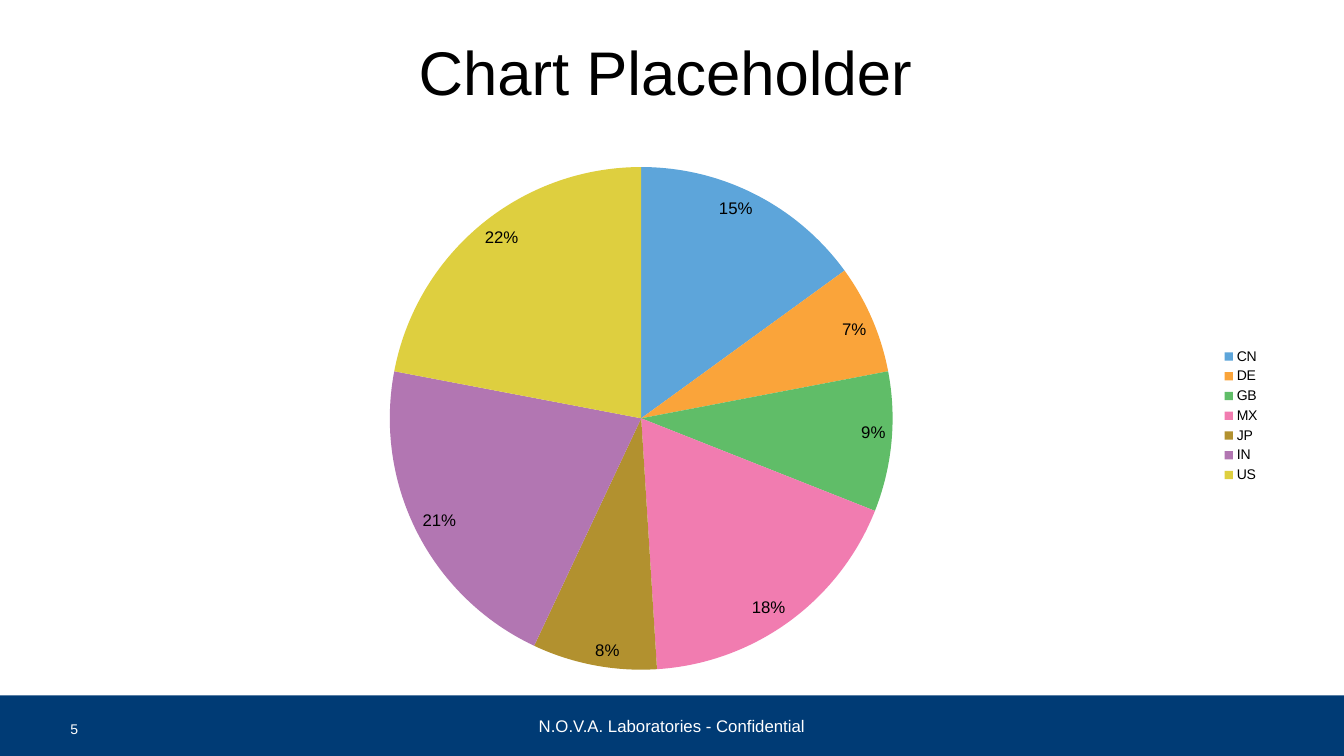
from lxml import etree
from pptx import Presentation
from pptx import util as u
from pptx.chart.data import CategoryChartData
from pptx.dml.color import RGBColor
from pptx.enum import chart as charts, shapes, text
from pptx.oxml.ns import qn

NAVY = RGBColor(0x00, 0x3B, 0x75)
WHITE = RGBColor(0xFF, 0xFF, 0xFF)
BLACK = RGBColor(0x00, 0x00, 0x00)
SHARES = {
    "CN": (15, RGBColor(0x5D, 0xA5, 0xDA)),
    "DE": (7, RGBColor(0xFA, 0xA4, 0x3A)),
    "GB": (9, RGBColor(0x60, 0xBD, 0x68)),
    "MX": (18, RGBColor(0xF1, 0x7C, 0xB0)),
    "JP": (8, RGBColor(0xB2, 0x91, 0x2F)),
    "IN": (21, RGBColor(0xB2, 0x76, 0xB2)),
    "US": (22, RGBColor(0xDE, 0xCF, 0x3F)),
}
PIE_AREA = {"x": 0.27, "y": 0.03, "w": 0.42, "h": 0.95}


class Report:
    """Style and current page, laid out on columns of 0.6 and rows of 0.1 inches."""

    font = "Arial"
    column = u.Inches(0.6)
    row = u.Inches(0.1)
    width = u.Inches(13.33)
    height = u.Inches(7.5)

    def __init__(self):
        self.deck = Presentation()
        self.deck.slide_width, self.deck.slide_height = self.width, self.height
        self.page = self.deck.slides.add_slide(self.deck.slide_layouts[5])

    def area(self, left, top, columns, rows):
        return (int(left * self.column), int(top * self.row),
                int(columns * self.column), int(rows * self.row))

    def style(self, font, size, color):
        font.name, font.size = self.font, u.Pt(size)
        font.color.rgb = color

    def fill_text(self, box, words, size, color, align, anchor):
        frame = box.text_frame
        frame.word_wrap = True
        frame.auto_size = text.MSO_AUTO_SIZE.NONE
        frame.vertical_anchor = anchor
        para = frame.paragraphs[0]
        para.alignment = align
        span = para.add_run()
        span.text = words
        self.style(span.font, size, color)

    def title(self, words, area):
        box = self.page.shapes.title
        box.left, box.top, box.width, box.height = area
        self.fill_text(box, words, 44, BLACK, text.PP_ALIGN.CENTER, text.MSO_ANCHOR.MIDDLE)

    def band(self, words, area):
        box = self.page.shapes.add_shape(shapes.MSO_SHAPE.RECTANGLE, *area)
        box.shadow.inherit = False
        box.fill.solid()
        box.fill.fore_color.rgb = NAVY
        box.line.fill.background()
        self.fill_text(box, words, 12, WHITE, text.PP_ALIGN.CENTER, text.MSO_ANCHOR.MIDDLE)

    def label(self, words, area):
        box = self.page.shapes.add_textbox(*area)
        self.fill_text(box, words, 10, WHITE, text.PP_ALIGN.LEFT, text.MSO_ANCHOR.TOP)

    def pie(self, shares, area):
        data = CategoryChartData()
        data.categories = list(shares)
        data.add_series("Series 1", [value for value, color in shares.values()])
        chart = self.page.shapes.add_chart(charts.XL_CHART_TYPE.PIE, *area, data).chart
        self.style(chart.font, 10, BLACK)
        chart.has_title = False
        chart.has_legend = True
        chart.legend.position = charts.XL_LEGEND_POSITION.RIGHT
        chart.legend.include_in_layout = False
        self.style(chart.legend.font, 10, BLACK)

        plot = chart.plots[0]
        plot.vary_by_categories = True
        for index, (value, color) in enumerate(shares.values()):
            point = plot.series[0].points[index]
            point.format.fill.solid()
            point.format.fill.fore_color.rgb = color
            point.format.line.fill.background()

        plot.has_data_labels = True
        labels = plot.data_labels
        labels.show_value = False
        labels.show_percentage = True
        labels.number_format, labels.number_format_is_linked = "0%", False
        labels.position = charts.XL_LABEL_POSITION.INSIDE_END
        self.style(labels.font, 12, BLACK)
        self.place_plot(chart)

    def place_plot(self, chart):
        plot_area = chart.element.find(".//" + qn("c:plotArea"))
        for old in plot_area.findall(qn("c:layout")):
            plot_area.remove(old)
        layout = etree.Element(qn("c:layout"))
        manual = etree.SubElement(layout, qn("c:manualLayout"))
        settings = {"layoutTarget": "inner", "xMode": "edge", "yMode": "edge", **PIE_AREA}
        for name, value in settings.items():
            etree.SubElement(manual, qn("c:" + name), val=str(value))
        plot_area.insert(0, layout)


def main():
    report = Report()
    report.band("N.O.V.A. Laboratories - Confidential",
                (0, 69 * report.row, report.width, 6 * report.row))
    report.title("Chart Placeholder", report.area(1, 2, 20, 10))
    report.pie(SHARES, report.area(1, 15, 20, 52.5))
    report.label("5", report.area(1, 71, 1.45, 3.3))
    report.deck.save("out.pptx")


if __name__ == "__main__":
    main()
